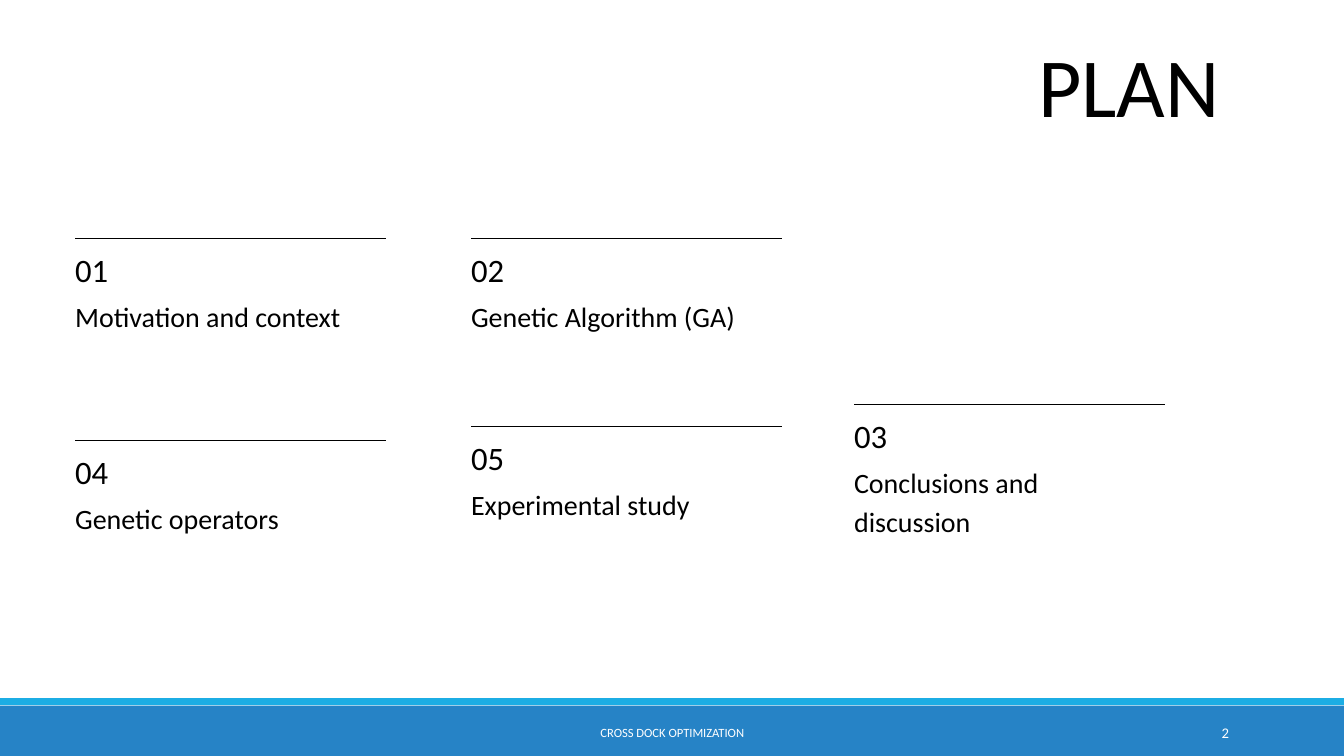
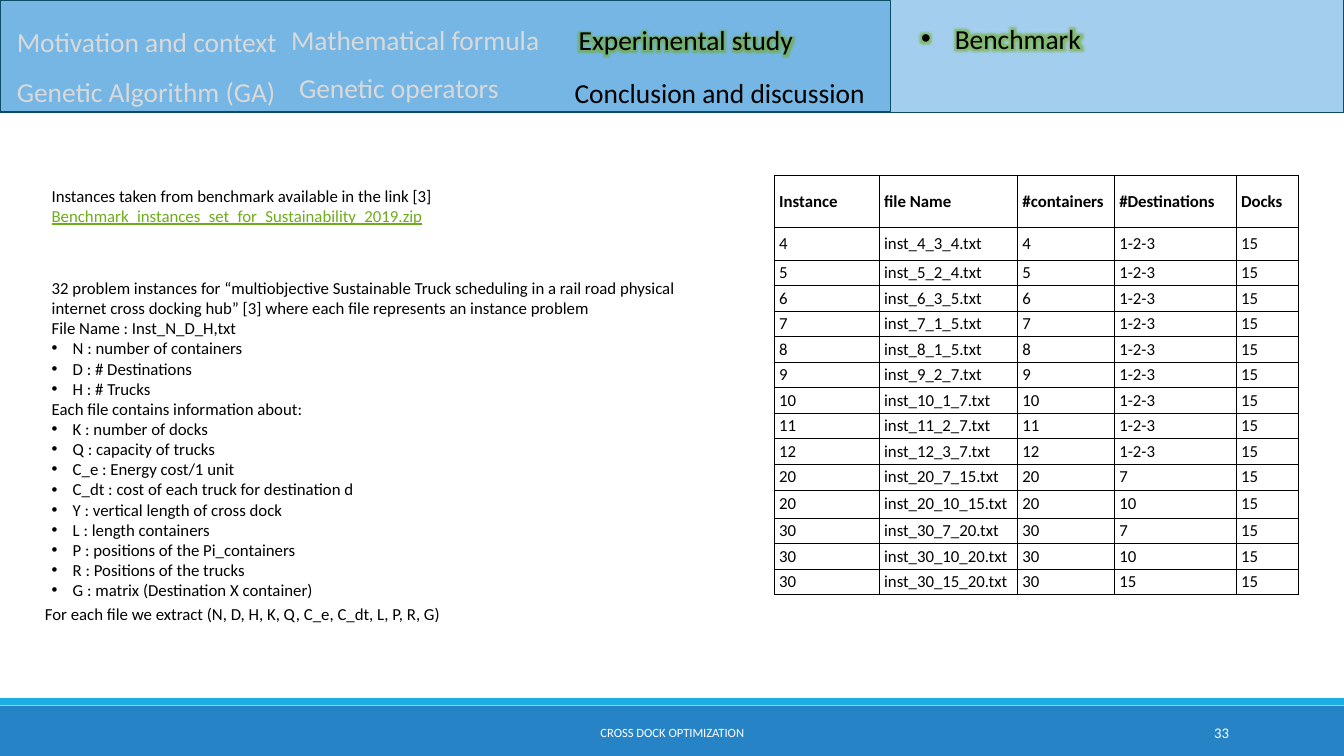
from dataclasses import dataclass
from typing import Optional

from lxml.etree import SubElement
from pptx import Presentation
from pptx.dml.color import RGBColor
from pptx.enum.shapes import MSO_CONNECTOR, MSO_SHAPE
from pptx.enum.text import MSO_ANCHOR, MSO_AUTO_SIZE, PP_ALIGN
from pptx.oxml import parse_xml
from pptx.oxml.ns import nsdecls, qn
from pptx.util import Pt

W, H = 1440, 810
FONT = "Calibri"
COLORS = {
    "text": "000000", "white": "FFFFFF", "faded": "D9D9D9",
    "footer": "2683C6", "stripe": "1CADE4",
    "nav": "75B6E5", "topic": "A3CEED", "edge": "0C4C64",
    "link": "6EAC1C",
}


@dataclass
class Box:
    x: float
    y: float
    w: float
    h: float


@dataclass
class Style:
    size: float = 18
    color: str = "text"
    bold: bool = False
    underline: bool = False
    glow: bool = False
    align: PP_ALIGN = PP_ALIGN.LEFT
    leading: Optional[float] = None  # exact line height
    indent: float = 0  # hanging bullet indent, 0 for no bullet


@dataclass
class Entry:
    number: str
    label: str
    x: float
    y: float


@dataclass
class NavItem:
    label: str
    x: float
    y: float
    color: str = "faded"
    glow: bool = False


ENTRIES = [
    Entry("01", "Motivation and context", 80.6, 255.6),
    Entry("04", "Genetic operators", 80.6, 472.3),
    Entry("02", "Genetic Algorithm (GA)", 504.7, 255.6),
    Entry("05", "Experimental study", 504.7, 456.5),
    Entry("03", "Conclusions and discussion", 915.1, 433.4),
]
NAV_ITEMS = [
    NavItem("Motivation and context", 18, 20.9),
    NavItem("Genetic Algorithm (GA)", 18, 75),
    NavItem("Experimental study", 620, 19.4, "text", True),
    NavItem("Conclusion and discussion", 615.6, 75.6, "text"),
    NavItem("Genetic operators", 320.4, 69.8),
    NavItem("Mathematical formula", 311.8, 18.7),
]
FILE_PARTS = ["N : number of containers", "D : # Destinations", "H : # Trucks"]
FILE_CONTENT = [
    "K : number of docks", "Q : capacity of trucks", "C_e : Energy cost/1 unit",
    "C_dt : cost of each truck for destination d",
    "Y : vertical length of cross dock", "L : length containers",
    "P : positions of the Pi_containers", "R : Positions of the trucks",
    "G : matrix (Destination X container)",
]
HEADERS = ["Instance", "file Name", "#containers", "#Destinations", "Docks"]
COL_WIDTHS = [112.5, 148.3, 103.7, 130.5, 67]
ROW_HEIGHTS = [56, 34.5] + [27.4] * 9 + [30.2] + [27.4] * 3
# containers, destinations and trucks, as in the file names
INSTANCES = [
    (4, 3, 4), (5, 2, 4), (6, 3, 5), (7, 1, 5), (8, 1, 5), (9, 2, 7),
    (10, 1, 7), (11, 2, 7), (12, 3, 7), (20, 7, 15), (20, 10, 15),
    (30, 7, 20), (30, 10, 20), (30, 15, 20),
]


def rgb(name: str) -> RGBColor:
    return RGBColor.from_string(COLORS[name])


# Text

def add_run(p, text: str, style: Style) -> None:
    r = p.add_run()
    r.text = text
    f = r.font
    f.name, f.size, f.bold = FONT, Pt(style.size), style.bold
    f.color.rgb = rgb(style.color)
    if style.underline:
        f.underline = True
    if style.glow:
        fill = r._r.find(qn("a:rPr")).find(qn("a:solidFill"))
        fill.addnext(parse_xml(
            f'<a:effectLst {nsdecls("a")}><a:glow rad="{Pt(11)}">'
            f'<a:srgbClr val="{COLORS["link"]}"><a:alpha val="60000"/></a:srgbClr>'
            "</a:glow></a:effectLst>"))


def format_paragraph(p, style: Style) -> None:
    ppr = p._p.get_or_add_pPr()
    ppr.set("marL", str(Pt(style.indent)))
    ppr.set("indent", str(-Pt(style.indent)))
    if style.indent:
        SubElement(ppr, qn("a:buFont")).set("typeface", "Arial")
        SubElement(ppr, qn("a:buChar")).set("char", "•")
    else:
        SubElement(ppr, qn("a:buNone"))
    p.alignment = style.align
    p.space_before = Pt(0)
    if style.leading:
        p.line_spacing = Pt(style.leading)


def fill_text(sp, box: Box, paragraphs: list, inset: bool = False,
              anchor: MSO_ANCHOR = MSO_ANCHOR.TOP) -> None:
    """Place sp and fill it; each paragraph is a list of (text, style) runs."""
    sp.left, sp.top, sp.width, sp.height = map(Pt, (box.x, box.y, box.w, box.h))
    tf = sp.text_frame
    tf.word_wrap = True
    tf.auto_size = MSO_AUTO_SIZE.NONE
    tf.vertical_anchor = anchor
    tf.margin_left = tf.margin_right = Pt(7.2 if inset else 0)
    tf.margin_top = tf.margin_bottom = Pt(3.6 if inset else 0)
    for i, runs in enumerate(paragraphs):
        p = tf.add_paragraph() if i else tf.paragraphs[0]
        format_paragraph(p, runs[0][1])
        for text, style in runs:
            add_run(p, text, style)


def add_text(s, box: Box, text: str, style: Style, **options) -> None:
    sp = s.shapes.add_textbox(0, 0, 0, 0)
    fill_text(sp, box, [[(text, style)]], **options)


# Shapes

def add_rect(s, box: Box, fill: str, edge: Optional[str] = None) -> None:
    sp = s.shapes.add_shape(MSO_SHAPE.RECTANGLE,
                            *map(Pt, (box.x, box.y, box.w, box.h)))
    sp.shadow.inherit = False
    sp.fill.solid()
    sp.fill.fore_color.rgb = rgb(fill)
    if edge:
        sp.line.color.rgb = rgb(edge)
        sp.line.width = Pt(1.25)
    else:
        sp.line.fill.background()


def add_rule(s, x: float, y: float, width: float) -> None:
    line = s.shapes.add_connector(MSO_CONNECTOR.STRAIGHT,
                                  Pt(x), Pt(y), Pt(x + width), Pt(y))
    line.line.color.rgb = rgb("text")
    line.line.width = Pt(1)
    SubElement(line.element.spPr, qn("a:effectLst"))


def add_footer(s, number: str) -> None:
    add_rect(s, Box(0, 756, W, 54), "footer")
    add_rect(s, Box(0, 748, W, 7.4), "stripe")
    add_text(s, Box(435.6, 763.2, 569.5, 43.2), "CROSS DOCK OPTIMIZATION",
             Style(13.5, "white", align=PP_ALIGN.CENTER),
             inset=True, anchor=MSO_ANCHOR.MIDDLE)
    add_text(s, Box(1169.3, 763.2, 154.8, 43.2), number,
             Style(15.8, "white", align=PP_ALIGN.RIGHT),
             inset=True, anchor=MSO_ANCHOR.MIDDLE)


# Table

def format_cell(cell, text: str, style: Style) -> None:
    cell.vertical_anchor = MSO_ANCHOR.MIDDLE
    cell.margin_left = cell.margin_right = Pt(5.4)
    cell.margin_top = cell.margin_bottom = Pt(2.7)
    add_run(cell.text_frame.paragraphs[0], text, style)
    tcpr = cell._tc.get_or_add_tcPr()
    for side in ("lnL", "lnR", "lnT", "lnB"):
        ln = SubElement(tcpr, qn(f"a:{side}"), w=str(Pt(1)))
        fill = SubElement(ln, qn("a:solidFill"))
        SubElement(fill, qn("a:srgbClr"), val=COLORS["text"])
    cell.fill.background()


def add_instances(s) -> None:
    rows = [HEADERS]
    for n, d, h in INSTANCES:
        destinations = "1-2-3" if n < 20 else str(d)
        rows.append([str(n), f"inst_{n}_{d}_{h}.txt", str(n), destinations, "15"])
    frame = s.shapes.add_table(len(rows), len(HEADERS), Pt(829.4), Pt(188),
                               Pt(sum(COL_WIDTHS)), Pt(sum(ROW_HEIGHTS)))
    table = frame.table
    table.first_row = table.horz_banding = False
    for col, width in zip(table.columns, COL_WIDTHS):
        col.width = Pt(width)
    for i, (row, height) in enumerate(zip(table.rows, ROW_HEIGHTS)):
        row.height = Pt(height)
        for cell, text in zip(row.cells, rows[i]):
            format_cell(cell, text, Style(bold=i == 0))


# Slides

def build_plan(prs) -> None:
    s = prs.slides.add_slide(prs.slide_layouts[5])
    fill_text(s.shapes.title, Box(1112.4, 36, 272, 108.7),
              [[("PLAN", Style(90, align=PP_ALIGN.JUSTIFY, leading=108))]])
    for e in ENTRIES:
        add_rule(s, e.x, e.y, 333.4)
        add_text(s, Box(e.x, e.y + 8.6, 318, 44), e.number, Style(35, leading=45.5))
        add_text(s, Box(e.x, e.y + 59.5, 318, 81), e.label, Style(30, leading=42))
    add_footer(s, "2")


def build_benchmark(prs) -> None:
    s = prs.slides.add_slide(prs.slide_layouts[1])
    add_footer(s, "33")

    # Navigation band and current topic
    add_rect(s, Box(0, 0, 954, 120), "nav", "edge")
    for item in NAV_ITEMS:
        add_text(s, Box(item.x, item.y, 342, 39.6), item.label,
                 Style(29.4, item.color, glow=item.glow, leading=41.1))
    add_rect(s, Box(954, -0.7, 486, 121.7), "topic", "edge")
    title = s.shapes.title
    fill_text(title, Box(987, 17.3, 284.4, 39.6),
              [[("Benchmark", Style(29.4, glow=True, leading=41.1, indent=36))]])
    title.element.getparent().append(title.element)

    # Source of the instances
    plain, bullet = Style(), Style(indent=22.5)
    source = s.shapes.add_textbox(0, 0, 0, 0)
    fill_text(source, Box(48.2, 195.1, 743.8, 51), [[
        ("Instances taken from benchmark available in the link [3] ", plain),
        ("Benchmark_instances_set_for_Sustainability_2019.zip",
         Style(color="link", underline=True)),
    ]], inset=True)

    # File description
    body = [
        [("32 problem instances for “multiobjective Sustainable Truck scheduling "
          "in a rail road physical internet cross docking hub” [3] where each file "
          "represents an instance problem", plain)],
        [("File Name : Inst_N_D_H,txt", plain)],
        *[[(text, bullet)] for text in FILE_PARTS],
        [("Each file contains information about:", plain)],
        *[[(text, bullet)] for text in FILE_CONTENT],
    ]
    fill_text(s.placeholders[1], Box(48.2, 293.8, 720, 356.4), body, inset=True)
    add_text(s, Box(41, 643.7, 729.4, 28.8),
             "For each file we extract (N, D, H, K, Q, C_e, C_dt, L, P, R, G)",
             plain, inset=True)
    add_instances(s)


def main() -> None:
    prs = Presentation()
    prs.slide_width, prs.slide_height = Pt(W), Pt(H)
    build_plan(prs)
    build_benchmark(prs)
    prs.save("out.pptx")


if __name__ == "__main__":
    main()
